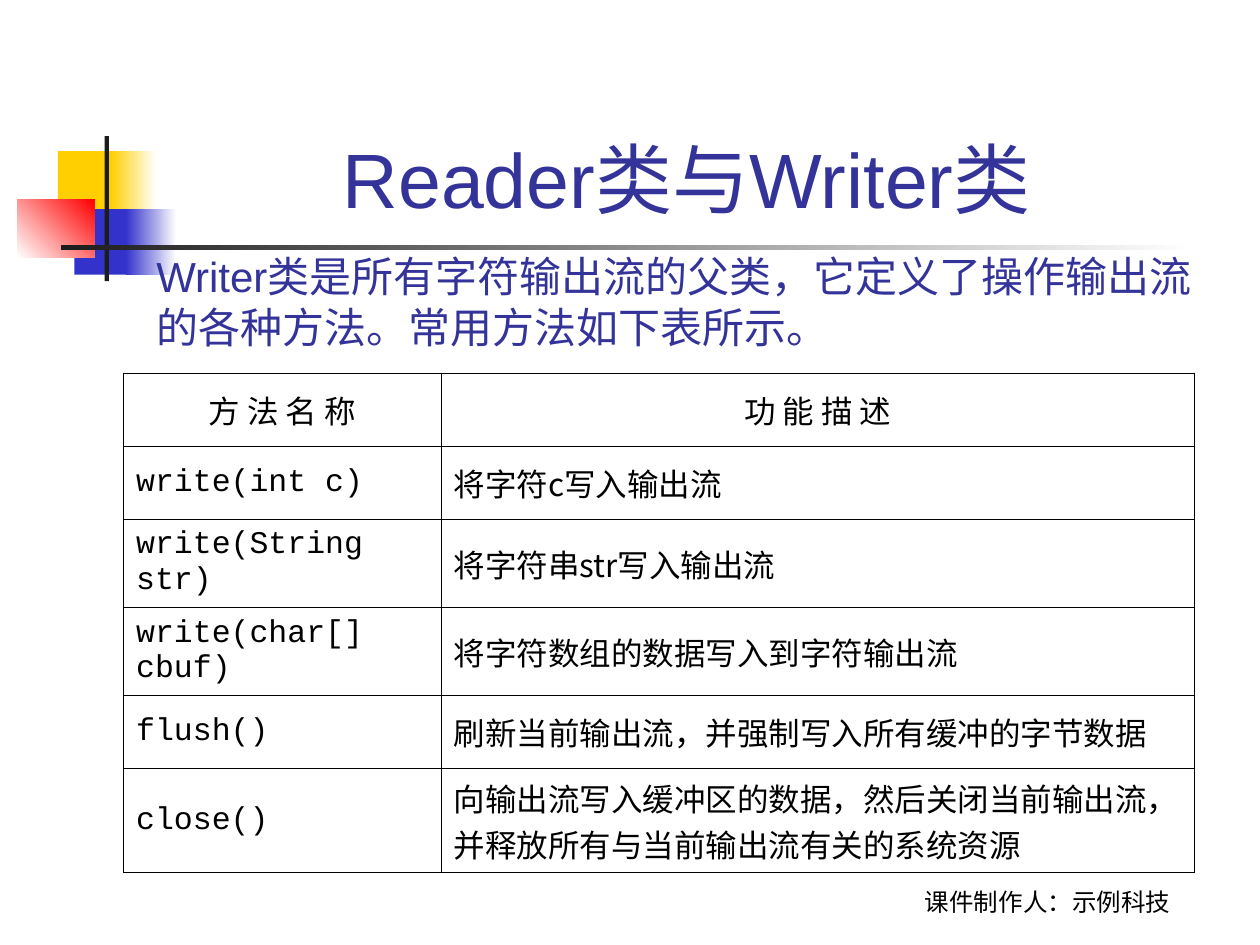
from lxml import etree
from pptx import Presentation
from pptx import util as u
from pptx.dml.color import RGBColor
from pptx.enum import shapes, text
from pptx.oxml import ns

BLACK = RGBColor(0x00, 0x00, 0x00)
WHITE = RGBColor(0xFF, 0xFF, 0xFF)
INK = RGBColor(0x1C, 0x1C, 0x1C)
YELLOW = RGBColor(0xFF, 0xCF, 0x01)
BLUE = RGBColor(0x33, 0x33, 0xCC)
RED = RGBColor(0xFF, 0x00, 0x00)
INDIGO = RGBColor(0x33, 0x33, 0x99)

CJK_FONT = "Noto Sans CJK SC"
CODE_FONT = "Courier New"

# box in points, gradient or plain colours, gradient angle
ORNAMENTS = [
    ((33.1, 86.4, 34.6, 37.4), [YELLOW], 0),
    ((63.4, 86.4, 25.9, 37.4), [YELLOW, WHITE], 0),
    ((42.5, 119.5, 33.1, 37.4), [BLUE], 0),
    ((72, 119.5, 28.8, 37.4), [BLUE, WHITE], 0),
    ((10, 113.8, 44, 33.1), [WHITE, RED], 45),
    ((59.8, 77.8, 2.4, 82.8), [INK], 0),
    ((34.6, 140.2, 648, 2.4), [INK, WHITE], 0),
]

METHODS = [
    ("方 法 名 称", "功 能 描 述"),
    ("write(int c)", "将字符c写入输出流"),
    ("write(String str)", "将字符串str写入输出流"),
    ("write(char[] cbuf)", "将字符数组的数据写入到字符输出流"),
    ("flush()", "刷新当前输出流，并强制写入所有缓冲的字节数据"),
    ("close()", "向输出流写入缓冲区的数据，然后关闭当前输出流，并释放所有与当前输出流有关的系统资源"),
]
COLUMN_WIDTHS = (181.4, 430.6)
ROW_HEIGHTS = (41.8, 41.8, 50.4, 50.4, 41.8, 50.4)


def points(box):
    return [u.Pt(length) for length in box]


def set_attributes(target, values):
    for name, value in values.items():
        setattr(target, name, value)


def write_text(frame, wording, align, **font_values):
    paragraph = frame.paragraphs[0]
    run = paragraph.add_run()
    run.text = wording
    set_attributes(paragraph, {"alignment": align, "space_before": u.Pt(0)})
    set_attributes(run.font, {key: value for key, value in font_values.items() if key != "color"})
    run.font.color.rgb = font_values["color"]
    if run.font.name == CJK_FONT:
        east_asian = etree.SubElement(run.font._element, ns.qn("a:ea"))
        east_asian.set("typeface", CJK_FONT)
    return paragraph


def add_ornament(slide, box, colors, angle):
    shape = slide.shapes.add_shape(shapes.MSO_SHAPE.RECTANGLE, *points(box))
    shape.shadow.inherit = False
    shape.line.fill.background()
    if len(colors) == 1:
        shape.fill.solid()
        shape.fill.fore_color.rgb = colors[0]
        return
    shape.fill.gradient()
    shape.fill.gradient_angle = angle
    for stop, color in zip(shape.fill.gradient_stops, colors):
        stop.color.rgb = color


def fill_placeholder(shape, box, wording, align, anchor, size):
    """Place and fill a placeholder, in front of what is already on the slide."""
    shape.element.getparent().append(shape.element)
    set_attributes(shape, dict(zip(("left", "top", "width", "height"), points(box))))
    set_attributes(shape.text_frame, {
        "vertical_anchor": anchor, "word_wrap": True, "auto_size": text.MSO_AUTO_SIZE.NONE})
    return write_text(shape.text_frame, wording, align,
                      name="Arial", size=u.Pt(size), color=INDIGO)


def remove_bullet(paragraph):
    properties = paragraph._p.get_or_add_pPr()
    properties.set("marL", "0")
    properties.set("indent", "0")
    etree.SubElement(properties, ns.qn("a:buNone"))


def add_credit(slide):
    box = slide.shapes.add_textbox(*points((484.6, 491, 228.2, 36)))
    set_attributes(box.text_frame, {
        "word_wrap": True, "vertical_anchor": text.MSO_ANCHOR.BOTTOM})
    write_text(box.text_frame, "课件制作人：示例科技", text.PP_ALIGN.CENTER,
               name="Karla", size=u.Pt(14), color=BLACK)


def add_borders(cell, width):
    properties = cell._tc.get_or_add_tcPr()
    for side in ("lnL", "lnR", "lnT", "lnB"):
        line = etree.SubElement(properties, ns.qn(f"a:{side}"), w=str(u.Pt(width)))
        fill = etree.SubElement(line, ns.qn("a:solidFill"))
        etree.SubElement(fill, ns.qn("a:srgbClr"), val=str(BLACK))


def add_method_table(slide):
    frame = slide.shapes.add_table(
        len(METHODS), len(COLUMN_WIDTHS),
        *points((70.6, 213.1, sum(COLUMN_WIDTHS), sum(ROW_HEIGHTS))))
    table = frame.table
    set_attributes(table, {"first_row": False, "horz_banding": False})
    for column, width in zip(table.columns, COLUMN_WIDTHS):
        column.width = u.Pt(width)
    for row, height, wordings in zip(table.rows, ROW_HEIGHTS, METHODS):
        row.height = u.Pt(height)
        is_header = wordings is METHODS[0]
        align = text.PP_ALIGN.CENTER if is_header else text.PP_ALIGN.LEFT
        fonts = (CJK_FONT if is_header else CODE_FONT, CJK_FONT)
        for cell, wording, font in zip(row.cells, wordings, fonts):
            cell.vertical_anchor = text.MSO_ANCHOR.MIDDLE
            add_borders(cell, 0.45)
            cell.fill.background()
            write_text(cell.text_frame, wording, align,
                       name=font, size=u.Pt(18), color=BLACK)


def main():
    presentation = Presentation()
    set_attributes(presentation, {"slide_width": u.Pt(720), "slide_height": u.Pt(540)})
    slide = presentation.slides.add_slide(presentation.slide_layouts[1])
    for ornament in ORNAMENTS:
        add_ornament(slide, *ornament)
    add_credit(slide)
    title, body = slide.placeholders
    fill_placeholder(title, (90.7, 16.6, 613.4, 115.2), "Reader类与Writer类 ",
                     text.PP_ALIGN.CENTER, text.MSO_ANCHOR.BOTTOM, 44)
    summary = fill_placeholder(
        body, (82.1, 139.7, 607, 67.7),
        "Writer类是所有字符输出流的父类，它定义了操作输出流的各种方法。常用方法如下表所示。",
        text.PP_ALIGN.LEFT, text.MSO_ANCHOR.TOP, 24)
    remove_bullet(summary)
    add_method_table(slide)
    presentation.save("out.pptx")


if __name__ == "__main__":
    main()
